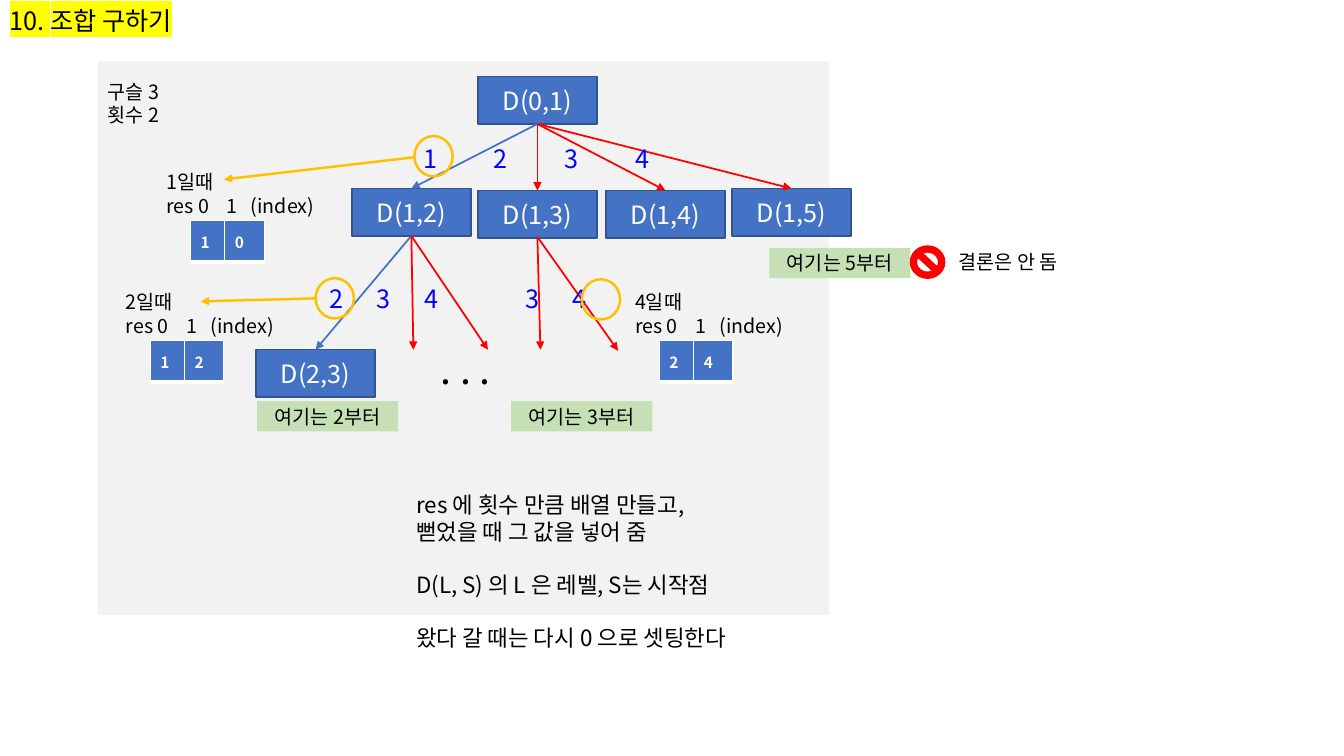
"""Builds a slide that explains combinations with a recursion tree."""
from dataclasses import dataclass

import pptx
import pptx.dml.color
import pptx.enum.shapes
import pptx.enum.text
import pptx.oxml.ns
import pptx.util
from lxml import etree

Inches = pptx.util.Inches
Pt = pptx.util.Pt
SHAPE = pptx.enum.shapes.MSO_SHAPE
ALIGN = pptx.enum.text.PP_ALIGN


@dataclass(frozen=True)
class Theme:
    """Colours, type sizes and font of the slide."""
    font: str = "Noto Sans CJK KR"
    panel: str = "F2F2F2"
    blue: str = "4472C4"
    node_edge: str = "325491"
    red: str = "FF0000"
    amber: str = "FFC000"
    green: str = "C5E0B4"
    digit: str = "0000FF"
    marker: str = "FFFF00"
    black: str = "000000"
    white: str = "FFFFFF"
    cell_size: int = 11
    label_size: int = 14
    note_size: int = 16
    main_size: int = 18
    dots_size: int = 28


THEME = Theme()
NODE_WIDTH, NODE_HEIGHT = 1.18, 0.47


def rgb(colour):
    """Return the colour object for a hex string."""
    return pptx.dml.color.RGBColor.from_string(colour)


def add_xml(parent, tag, **attributes):
    """Append a DrawingML element and return it."""
    return etree.SubElement(parent, pptx.oxml.ns.qn(tag), attributes)


def style_text(frame, size, colour, bold=False):
    """Give every run of a text frame the same font."""
    for para in frame.paragraphs:
        for span in para.runs:
            span.font.size = Pt(size)
            span.font.name = THEME.font
            span.font.bold = bold
            span.font.color.rgb = rgb(colour)
            add_xml(span.font._element, "a:ea", typeface=THEME.font)


def add_text(page, place, text, size, colour=THEME.black, tabs=()):
    """Add a text box, with tab stops in inches if given."""
    box = page.shapes.add_textbox(*map(Inches, place))
    frame = box.text_frame
    frame.word_wrap = True
    frame.text = text
    style_text(frame, size, colour)
    if tabs:
        for para in frame.paragraphs:
            stops = add_xml(para._p.get_or_add_pPr(), "a:tabLst")
            for stop in tabs:
                add_xml(stops, "a:tab", pos=str(Inches(stop)), algn="l")
    return frame


def add_shape(page, kind, place, fill=None, edge=None, weight=1.0):
    """Add a preset shape with a plain fill and outline."""
    shape = page.shapes.add_shape(kind, *map(Inches, place))
    shape.shadow.inherit = False
    if fill:
        shape.fill.solid()
        shape.fill.fore_color.rgb = rgb(fill)
    else:
        shape.fill.background()
    if edge:
        shape.line.color.rgb = rgb(edge)
        shape.line.width = Pt(weight)
    else:
        shape.line.fill.background()
    return shape


def add_box(page, place, text, size, colour, fill, edge=None):
    """Add a filled rectangle with one centred line of text."""
    frame = add_shape(page, SHAPE.RECTANGLE, place, fill, edge).text_frame
    frame.text = text
    frame.vertical_anchor = pptx.enum.text.MSO_ANCHOR.MIDDLE
    frame.paragraphs[0].alignment = ALIGN.CENTER
    style_text(frame, size, colour)


def add_node(page, left, top, text):
    """Add one call of the recursion tree."""
    add_box(page, (left, top, NODE_WIDTH, NODE_HEIGHT), text,
            THEME.main_size, THEME.white, THEME.blue, THEME.node_edge)


def add_tag(page, left, top, text):
    """Add a green remark."""
    add_box(page, (left, top, 1.4, 0.3), text,
            THEME.label_size, THEME.black, THEME.green)


def add_arrow(page, start, end, colour, weight=1.25):
    """Add a straight arrow from start to end."""
    arrow = page.shapes.add_connector(
        pptx.enum.shapes.MSO_CONNECTOR.STRAIGHT, *map(Inches, start + end))
    arrow.line.color.rgb = rgb(colour)
    arrow.line.width = Pt(weight)
    add_xml(arrow.line._get_or_add_ln(), "a:tailEnd", type="triangle")
    add_xml(arrow._element.spPr, "a:effectLst")


def add_branches(page, start, ends):
    """Add arrows that fan out from one node."""
    for end, colour in ends:
        add_arrow(page, start, end, colour)


def add_digits(page, left, top, step, digits):
    """Add evenly spaced branch digits in one line."""
    tabs = [round(step * index, 2) for index in range(1, len(digits))]
    add_text(page, (left, top, step * len(digits) + 0.2, 0.4), "\t".join(digits),
             THEME.main_size, THEME.digit, tabs)


def add_ring(page, left, top):
    """Add an amber ring around a digit."""
    add_shape(page, SHAPE.OVAL, (left, top, 0.38, 0.4), edge=THEME.amber, weight=1.75)


def add_result(page, left, top, title, values):
    """Add a caption and the two-cell res array below it."""
    add_text(page, (left, top, 1.82, 0.57), f"{title}\nres 0\t1\t(index)",
             THEME.label_size, tabs=(0.6, 0.84))
    place = (left + 0.34, top + 0.55, 0.73, 0.41)
    table = page.shapes.add_table(1, 2, *map(Inches, place)).table
    for column, width in zip(table.columns, (0.34, 0.39)):
        column.width = Inches(width)
    for cell, value in zip(table.rows[0].cells, values):
        cell.text = value
        cell.vertical_anchor = pptx.enum.text.MSO_ANCHOR.MIDDLE
        style_text(cell.text_frame, THEME.cell_size, THEME.white, bold=True)
        properties = cell._tc.get_or_add_tcPr()
        for side, weight in (("L", 1), ("R", 1), ("T", 1), ("B", 3)):
            border = add_xml(properties, f"a:ln{side}", w=str(Pt(weight)))
            add_xml(add_xml(border, "a:solidFill"), "a:srgbClr", val=THEME.white)
        cell.fill.solid()
        cell.fill.fore_color.rgb = rgb(THEME.blue)


def add_title(page):
    """Add the highlighted heading."""
    frame = add_text(page, (0, 0, 1.98, 0.4), "10. 조합 구하기", THEME.main_size)
    fill = frame.paragraphs[0].runs[0].font._element.find(pptx.oxml.ns.qn("a:solidFill"))
    highlight = etree.Element(pptx.oxml.ns.qn("a:highlight"))
    add_xml(highlight, "a:srgbClr", val=THEME.marker)
    fill.addnext(highlight)


def add_tree(page):
    """Add the nodes, arrows and digits of the recursion tree."""
    for left, top, text in ((4.74, 0.76, "D(0,1)"), (3.49, 1.87, "D(1,2)"),
                            (4.74, 1.89, "D(1,3)"), (6.01, 1.89, "D(1,4)"),
                            (7.26, 1.87, "D(1,5)"), (2.54, 3.47, "D(2,3)")):
        add_node(page, left, top, text)
    add_branches(page, (5.33, 1.23), (((4.08, 1.87), THEME.blue), ((5.33, 1.89), THEME.red),
                                      ((6.6, 1.89), THEME.red), ((7.85, 1.87), THEME.red)))
    add_branches(page, (4.08, 2.34), (((3.13, 3.47), THEME.blue), ((4.1, 3.47), THEME.red),
                                      ((4.84, 3.47), THEME.red)))
    add_branches(page, (5.33, 2.35), (((5.36, 3.47), THEME.red), ((6.13, 3.48), THEME.red)))
    add_digits(page, 4.1, 1.37, 0.7, "1234")
    add_digits(page, 3.17, 2.76, 0.47, "234")
    add_digits(page, 5.11, 2.76, 0.47, "34")
    add_text(page, (4.27, 3.38, 0.88, 0.57), ". . .", THEME.dots_size)


def add_remarks(page):
    """Add the results, rings, remarks and closing notes."""
    add_result(page, 1.55, 1.64, "1일때", "10")
    add_result(page, 1.15, 2.83, "2일때", "12")
    add_result(page, 6.2, 2.83, "4일때", "24")
    for left, top in ((3.13, 2.76), (4.11, 1.35), (5.77, 2.77)):
        add_ring(page, left, top)
    add_arrow(page, (3.13, 2.96), (1.99, 2.99), THEME.amber, 1.75)
    add_arrow(page, (4.11, 1.56), (2.22, 1.78), THEME.amber, 1.75)
    for left, top, number in ((2.55, 3.98, 2), (5.07, 3.98, 3), (7.63, 2.46, 5)):
        add_tag(page, left, top, f"여기는 {number}부터")
    add_shape(page, SHAPE.NO_SYMBOL, (9.03, 2.44, 0.34, 0.32), THEME.red, THEME.red)
    add_text(page, (9.41, 2.43, 1.32, 0.34), "결론은 안 돔", THEME.label_size)
    notes = add_text(page, (4.03, 4.82, 3.8, 1.72),
                     "res 에 횟수 만큼 배열 만들고,\n뻗었을 때 그 값을 넣어 줌\n"
                     "D(L, S) 의 L 은 레벨, S는 시작점\n왔다 갈 때는 다시 0 으로 셋팅한다",
                     THEME.note_size)
    for para in notes.paragraphs[2:]:
        para.space_before = Pt(19)


def main():
    """Build the slide and save it."""
    deck = pptx.Presentation()
    deck.slide_width, deck.slide_height = Inches(13.33), Inches(7.5)
    page = deck.slides.add_slide(deck.slide_layouts[6])
    add_shape(page, SHAPE.RECTANGLE, (0.97, 0.61, 7.25, 5.49), THEME.panel)
    add_title(page)
    add_text(page, (0.97, 0.74, 0.85, 0.57), "구슬 3\n횟수 2", THEME.label_size)
    add_tree(page)
    add_remarks(page)
    deck.save("out.pptx")


if __name__ == "__main__":
    main()
